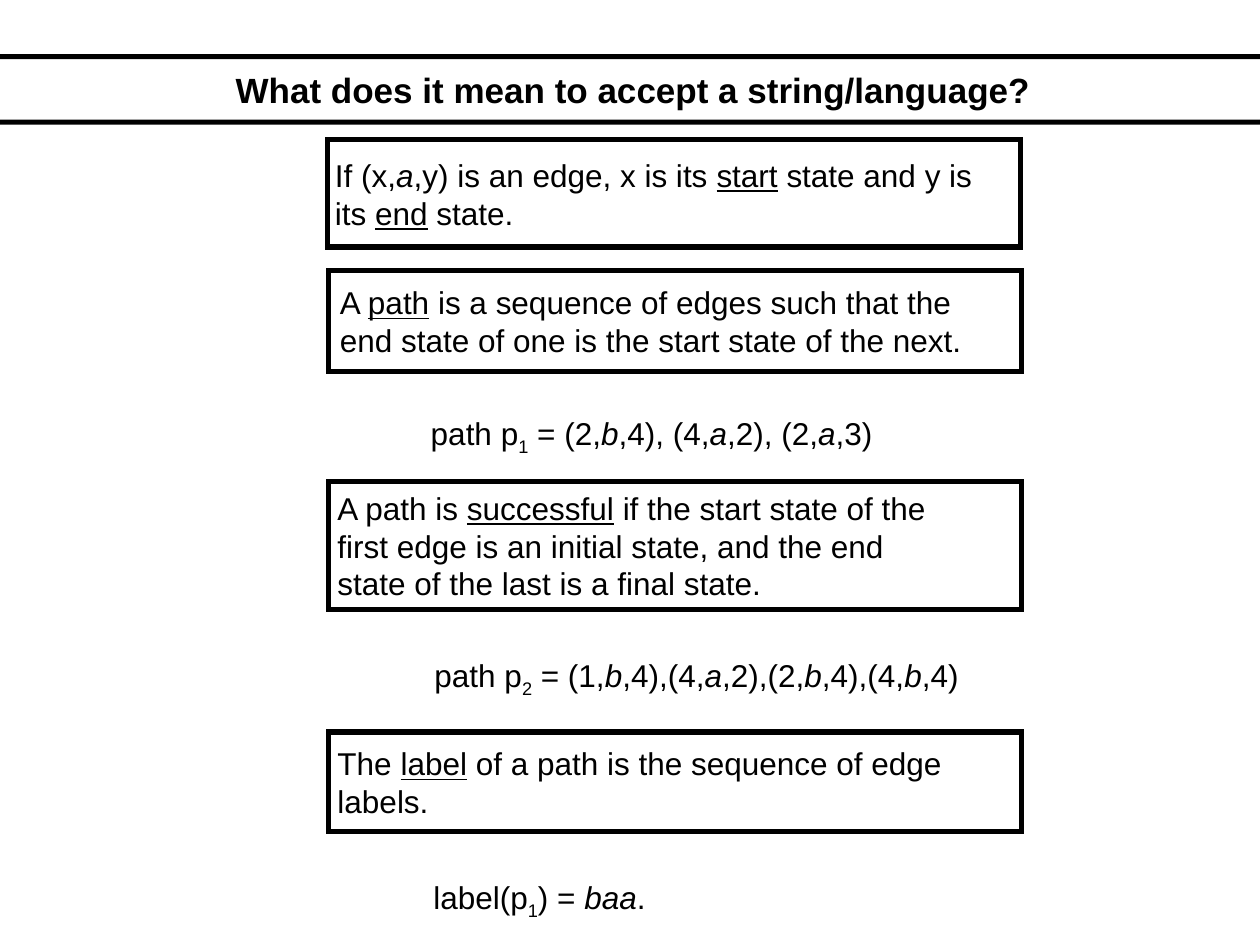
from lxml.etree import SubElement
from pptx import Presentation
from pptx.dml.color import RGBColor
from pptx.enum.shapes import MSO_SHAPE as Shape
from pptx.enum.text import MSO_ANCHOR as Anchor, MSO_AUTO_SIZE as AutoSize, PP_ALIGN as Align
from pptx.oxml.ns import qn
from pptx.util import Inches, Pt

CELL = 0.1
COLUMNS, ROWS = 100, 75
ITALIC = {"italic": True}
UNDERLINE = {"underline": True}
SUBSCRIPT = {"baseline": "-25000"}


def cells(*counts):
    return [Inches(count * CELL) for count in counts]


def color(code):
    return RGBColor.from_string(code)


def set_all(target, values):
    for name, value in values.items():
        setattr(target, name, value)


class SlideBuilder:
    ink = "000000"
    text_font = {"name": "Arial", "size": Pt(18)}
    title_font = {"name": "Arial", "size": Pt(20), "bold": True}
    frame_format = {"margin_left": Inches(0.1), "margin_right": Inches(0.1),
                    "margin_top": Inches(0.05), "margin_bottom": Inches(0.05),
                    "word_wrap": True, "auto_size": AutoSize.NONE}

    def __init__(self, deck):
        self.slide = deck.slides.add_slide(deck.slide_layouts[5])

    def rectangle(self, left, top, width, height):
        box = self.slide.shapes.add_shape(Shape.RECTANGLE, *cells(left, top, width, height))
        box.shadow.inherit = False
        return box

    def rule(self, top):
        bar = self.rectangle(0, top, COLUMNS, 0.4)
        bar.fill.solid()
        bar.fill.fore_color.rgb = color(self.ink)
        bar.line.fill.background()

    def frame(self, left, top, width, height):
        box = self.rectangle(left, top, width, height)
        box.fill.background()
        box.line.color.rgb = color(self.ink)
        box.line.width = Pt(3)
        SubElement(box.line._get_or_add_ln(), qn("a:miter"), lim="800000")

    def title(self, text, left, top, width, height):
        box = self.slide.shapes.title
        places = cells(left, top, width, height)
        set_all(box, dict(zip(("left", "top", "width", "height"), places)))
        set_all(box.text_frame, self.frame_format | {"vertical_anchor": Anchor.MIDDLE})
        para = box.text_frame.paragraphs[0]
        para.alignment = Align.CENTER
        self.span(para, text, self.title_font)

    def text(self, lines, left, top, width, height):
        box = self.slide.shapes.add_textbox(*cells(left, top, width, height))
        frame = box.text_frame
        set_all(frame, self.frame_format)
        for index, line in enumerate(lines):
            para = frame.add_paragraph() if index else frame.paragraphs[0]
            para.alignment = Align.LEFT
            for piece in line:
                words, style = (piece, {}) if isinstance(piece, str) else piece
                self.span(para, words, self.text_font | style)

    def span(self, para, words, style):
        span = para.add_run()
        span.text = words
        span.font.color.rgb = color(self.ink)
        values = dict(style)
        baseline = values.pop("baseline", None)
        set_all(span.font, values)
        if baseline:
            span.font._element.set("baseline", baseline)


DEFINITIONS = [
    ((26, 11.1, 55, 8.5), (25.6, 11.9, 54, 7), [
        ["If (x,", ("a", ITALIC), ",y) is an edge, x is its ", ("start", UNDERLINE), " state and y is"],
        ["its ", ("end", UNDERLINE), " state."]]),
    ((26.1, 21.5, 55, 8), (26, 22, 53, 7), [
        ["A ", ("path", UNDERLINE), " is a sequence of edges such that the"],
        ["end state of one is the start state of the next."]]),
    ((26.1, 38.2, 55, 10.2), (25.8, 38.3, 50, 10), [
        ["A path is ", ("successful", UNDERLINE), " if the start state of the"],
        ["first edge is an initial state, and the end"],
        ["state of the last is a final state."]]),
    ((26.1, 58.1, 55, 7.9), (25.8, 58.6, 51.5, 7), [
        ["The ", ("label", UNDERLINE), " of a path is the sequence of edge"],
        ["labels."]]),
]

EXAMPLES = [
    ((33.2, 32.4, 38.5, 4.4),
     ["path p", ("1", SUBSCRIPT), " = (2,", ("b", ITALIC), ",4), (4,", ("a", ITALIC),
      ",2), (2,", ("a", ITALIC), ",3)"]),
    ((33.5, 51.6, 45, 4.4),
     ["path p", ("2", SUBSCRIPT), " = (1,", ("b", ITALIC), ",4),(4,", ("a", ITALIC),
      ",2),(2,", ("b", ITALIC), ",4),(4,", ("b", ITALIC), ",4)"]),
    ((33.4, 69.2, 20.5, 4.4),
     ["label(p", ("1", SUBSCRIPT), ") = ", ("baa", ITALIC), "."]),
]


def main():
    deck = Presentation()
    deck.slide_width, deck.slide_height = cells(COLUMNS, ROWS)
    page = SlideBuilder(deck)
    for top in (4.3, 9.5):
        page.rule(top)
    page.title("What does it mean to accept a string/language?", 15.8, 4.5, 68.9, 5.2)
    for outline, place, lines in DEFINITIONS:
        page.frame(*outline)
        page.text(lines, *place)
    for place, line in EXAMPLES:
        page.text([line], *place)
    deck.save("out.pptx")


if __name__ == "__main__":
    main()
